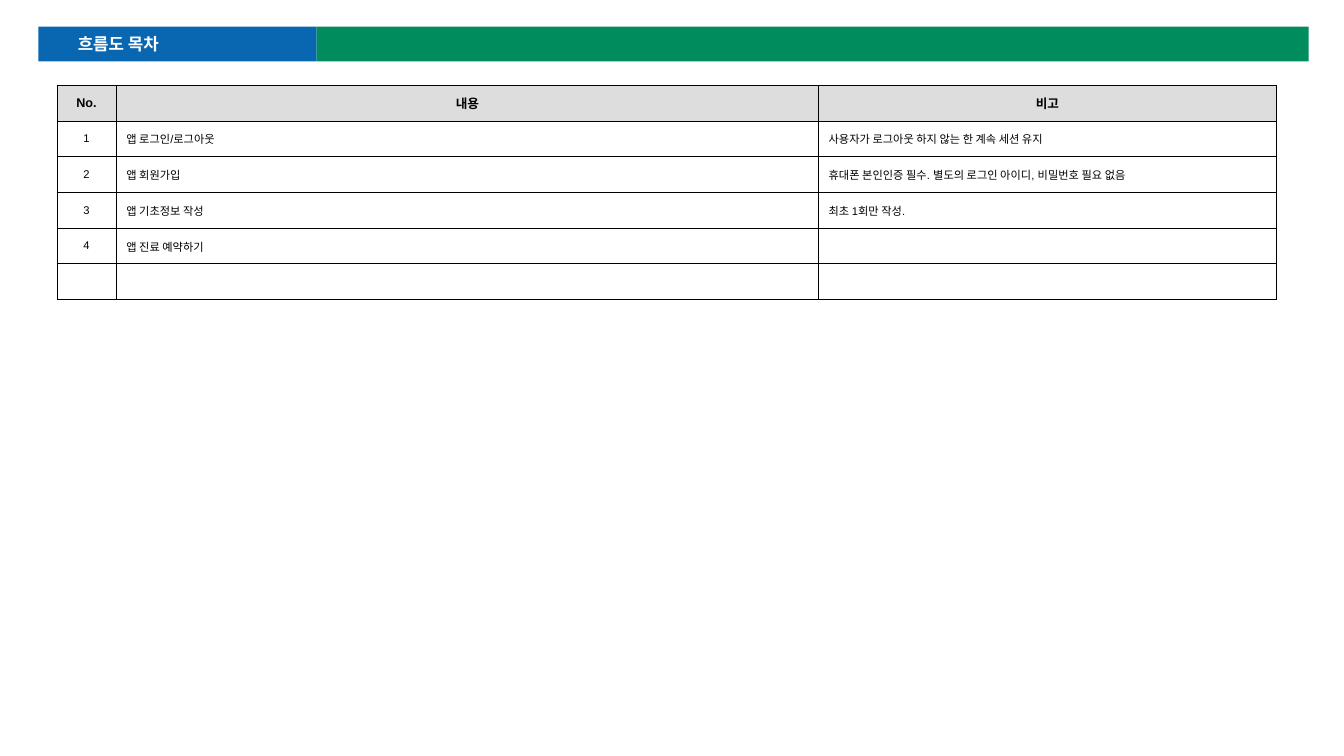
from lxml.etree import SubElement
from pptx import Presentation
from pptx.dml.color import RGBColor
from pptx.enum.shapes import MSO_SHAPE
from pptx.enum.text import MSO_ANCHOR as Anchor, MSO_AUTO_SIZE as AutoSize, PP_ALIGN as Align
from pptx.oxml import parse_xml
from pptx.oxml.ns import nsdecls, qn
from pptx.util import Cm, Pt

BLUE = RGBColor(0x09, 0x67, 0xB2)
GREEN = RGBColor(0x00, 0x8C, 0x5D)
GREY = RGBColor(0xDD, 0xDD, 0xDD)
BLACK = RGBColor(0, 0, 0)
WHITE = RGBColor(255, 255, 255)
LATIN_FONT = "Arial"
KOREAN_FONT = "Noto Sans CJK KR"
THIN, REGULAR = Pt(0.25), Pt(0.75)
COLUMN_WIDTHS = [1.5, 17.7, 11.53]
ROW_HEIGHT = 0.9
ROWS = [
    ("No.", "내용", "비고"),
    ("1", "앱 로그인/로그아웃", "사용자가 로그아웃 하지 않는 한 계속 세션 유지"),
    ("2", "앱 회원가입", "휴대폰 본인인증 필수. 별도의 로그인 아이디, 비밀번호 필요 없음"),
    ("3", "앱 기초정보 작성", "최초 1회만 작성."),
    ("4", "앱 진료 예약하기", ""),
    ("", "", ""),
]


def add_span(para, text, font, size, color, bold):
    span = para.add_run()
    span.text = text
    span.font.name = font
    span.font.size = Pt(size)
    span.font.bold = bold
    span.font.color.rgb = color
    SubElement(span.font._element, qn("a:ea"), typeface=KOREAN_FONT)


def add_band(page, left, width, color):
    band = page.shapes.add_shape(MSO_SHAPE.RECTANGLE, Cm(left), Cm(0.67), Cm(width), Cm(0.88))
    band.shadow.inherit = False
    band.fill.solid()
    band.fill.fore_color.rgb = color
    band.line.fill.background()


def place_title(page, text):
    title = page.shapes.title
    title.left, title.top, title.width, title.height = Cm(1.86), Cm(0.69), Cm(2.5), Cm(0.72)
    frame = title.text_frame
    frame.word_wrap = False
    frame.auto_size = AutoSize.SHAPE_TO_FIT_TEXT
    frame.vertical_anchor = Anchor.TOP
    frame.margin_left = frame.margin_right = frame.margin_top = frame.margin_bottom = Cm(0.1)
    para = frame.paragraphs[0]
    para.alignment = Align.LEFT
    para.line_spacing = 1.1
    para.space_before = Pt(0)
    add_span(para, text, KOREAN_FONT, 12, WHITE, True)
    page.shapes._spTree.append(title._element)


def set_borders(cell, widths):
    props = cell._tc.get_or_add_tcPr()
    for index, (side, width) in enumerate(widths.items()):
        props.insert(index, parse_xml(
            f'<a:ln{side} {nsdecls("a")} w="{width}"><a:solidFill>'
            f'<a:srgbClr val="{BLACK}"/></a:solidFill></a:ln{side}>'))


def fill_cell(cell, text, header, centred):
    size = 9 if header else 8
    cell.vertical_anchor = Anchor.MIDDLE
    if header:
        cell.fill.solid()
        cell.fill.fore_color.rgb = GREY
    else:
        cell.fill.background()
    para = cell.text_frame.paragraphs[0]
    para.alignment = Align.CENTER if centred else Align.LEFT
    if text:
        add_span(para, text, LATIN_FONT, size, BLACK, header)
    else:
        SubElement(para._p, qn("a:endParaRPr"), sz=str(size * 100))


def add_contents_table(page):
    shape = page.shapes.add_table(
        len(ROWS), len(COLUMN_WIDTHS), Cm(1.43), Cm(2.15),
        Cm(sum(COLUMN_WIDTHS)), Cm(ROW_HEIGHT * len(ROWS)))
    table = shape.table
    table.first_row = table.horz_banding = False
    for column, width in zip(table.columns, COLUMN_WIDTHS):
        column.width = Cm(width)
    last = len(COLUMN_WIDTHS) - 1
    for r, texts in enumerate(ROWS):
        table.rows[r].height = Cm(ROW_HEIGHT)
        for c, text in enumerate(texts):
            cell = table.cell(r, c)
            fill_cell(cell, text, r == 0, r == 0 or c == 0)
            set_borders(cell, {
                "L": THIN if c == 0 else REGULAR,
                "R": THIN if c == last else REGULAR,
                "T": THIN if r == 0 else REGULAR,
                "B": REGULAR,
            })


def main():
    deck = Presentation()
    deck.slide_width, deck.slide_height = Cm(33.87), Cm(19.05)
    page = deck.slides.add_slide(deck.slide_layouts[5])
    add_band(page, 0.97, 7.01, BLUE)
    add_band(page, 7.98, 25, GREEN)
    add_contents_table(page)
    place_title(page, "흐름도 목차")
    deck.save("out.pptx")


if __name__ == "__main__":
    main()
